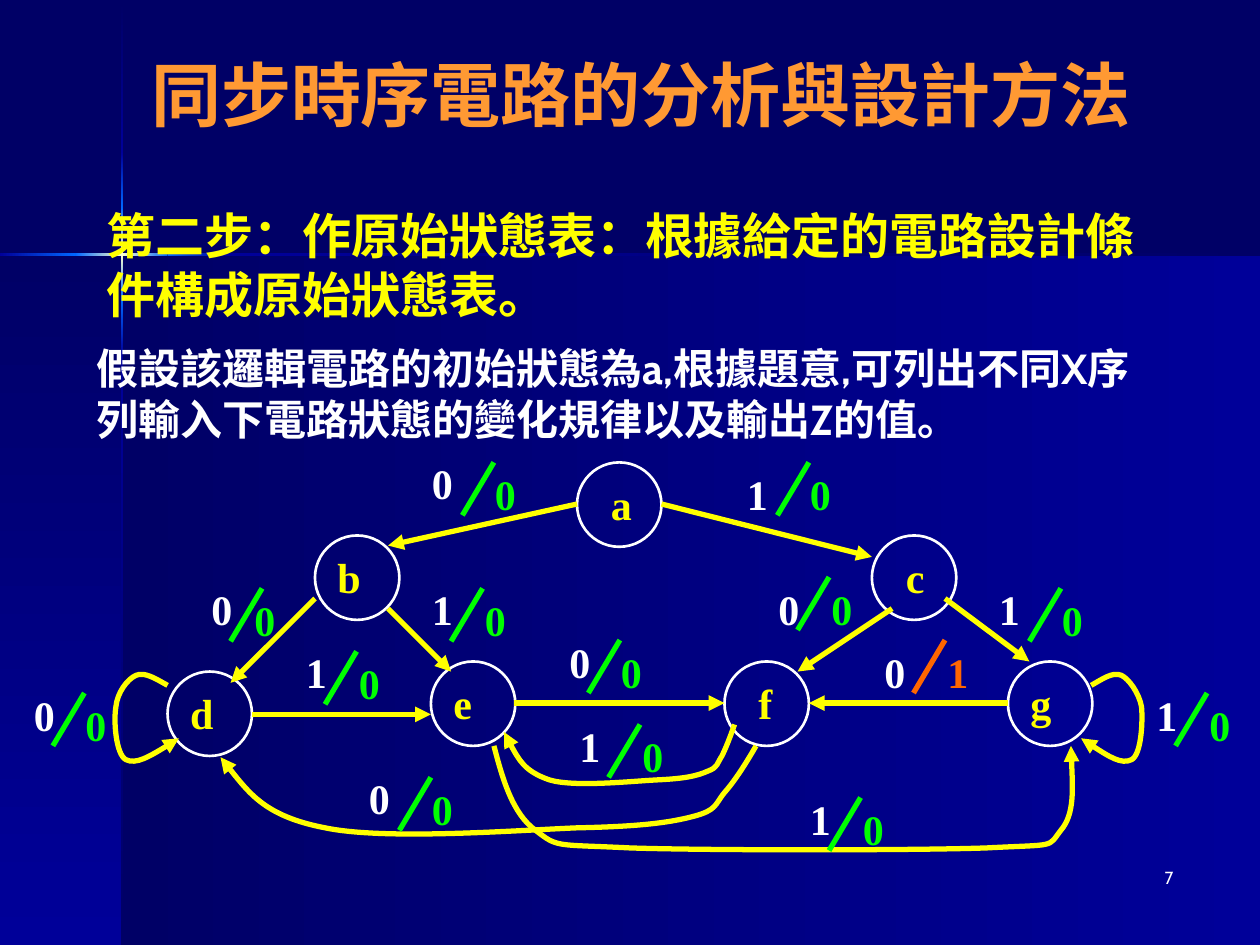
from itertools import pairwise

from lxml.etree import SubElement
from pptx import Presentation
from pptx.dml.color import RGBColor
from pptx.enum.shapes import MSO_CONNECTOR as CONNECTOR, MSO_SHAPE as SHAPE
from pptx.enum.text import MSO_ANCHOR as ANCHOR, PP_ALIGN as ALIGN
from pptx.oxml.ns import qn
from pptx.util import Inches, Pt

COLORS = {
    "navy": "000066", "blue": "000099", "bright": "0066FF", "cream": "FFFFCC",
    "orange": "FF9933", "yellow": "FFFF00", "white": "FFFFFF",
    "green": "00FF00", "red": "FF6600",
}
SANS, SERIF = "Cabin", "Times New Roman"
NODE_SIZE = 0.67

VERTICAL_GLOW = [(0.01, "navy"), (1.21, "blue"), (1.65, "bright"), (2.02, "cream"),
                 (2.38, "bright"), (2.82, "blue"), (7.5, "navy")]
HORIZONTAL_GLOW = [(0, "blue"), (0.6, "bright"), (0.97, "cream"),
                   (1.33, "bright"), (1.77, "blue"), (10, "navy")]

# state, left, top, label offset
STATES = [
    ("a", 4.58, 3.67, 0.17), ("b", 2.5, 4.25, 0.08), ("c", 6.92, 4.25, 0.17),
    ("d", 1.33, 5.33, 0.08), ("e", 3.42, 5.25, 0.08), ("f", 5.75, 5.25, 0.17),
    ("g", 8, 5.25, 0.08),
]
ARROWS = [
    ((4.58, 4), (3.08, 4.33)), ((5.25, 4), (6.92, 4.42)),
    ((2.5, 4.75), (1.83, 5.42)), ((3.08, 4.83), (3.58, 5.33)),
    ((7.08, 4.83), (6.33, 5.33)), ((7.5, 4.75), (8.17, 5.25)),
    ((2, 5.67), (3.42, 5.67)), ((4.08, 5.58), (5.75, 5.58)),
    ((8, 5.58), (6.42, 5.58)),
]
CURVES = [
    [(1.33, 5.44), (1.24, 5.39), (1.15, 5.33), (1.08, 5.36), (1.01, 5.39),
     (0.93, 5.5), (0.92, 5.61), (0.9, 5.72), (0.92, 5.99), (1, 6.03),
     (1.08, 6.07), (1.25, 5.97), (1.42, 5.86)],
    [(8.66, 5.44), (8.75, 5.39), (8.83, 5.33), (8.9, 5.36), (8.96, 5.39),
     (9.04, 5.5), (9.06, 5.61), (9.07, 5.72), (9.06, 5.99), (8.98, 6.03),
     (8.9, 6.07), (8.74, 5.97), (8.58, 5.86)],
    [(3.92, 5.92), (3.99, 6.19), (4.07, 6.46), (4.25, 6.59), (4.43, 6.73),
     (4.4, 6.7), (5, 6.73), (5.6, 6.75), (7.26, 6.75), (7.83, 6.73),
     (8.4, 6.7), (8.31, 6.73), (8.42, 6.59), (8.53, 6.46), (8.51, 6.19), (8.5, 5.92)],
    [(6, 5.92), (5.92, 6.06), (5.83, 6.2), (5.75, 6.29), (5.67, 6.39),
     (5.69, 6.43), (5.5, 6.48), (5.31, 6.53), (5.07, 6.56), (4.58, 6.57),
     (4.1, 6.59), (3.06, 6.67), (2.58, 6.57), (2.11, 6.48), (1.93, 6.24), (1.75, 6.01)],
    [(5.83, 5.75), (5.8, 5.84), (5.76, 5.94), (5.73, 6), (5.69, 6.06),
     (5.7, 6.09), (5.62, 6.12), (5.53, 6.16), (5.43, 6.18), (5.22, 6.19),
     (5.01, 6.2), (4.56, 6.25), (4.36, 6.19), (4.16, 6.12), (4.08, 5.97), (4, 5.81)],
]
# input, its left and top, output, its left and top, slash right
TRANSITIONS = [
    ("0", 3.33, 3.58, "0", 3.83, 3.67, 3.92), ("1", 5.83, 3.67, "0", 6.33, 3.67, 6.42),
    ("0", 1.58, 4.58, "0", 1.92, 4.67, 2.08), ("1", 3.33, 4.58, "0", 3.75, 4.67, 3.83),
    ("0", 6.08, 4.58, "0", 6.5, 4.58, 6.58), ("1", 7.83, 4.58, "0", 8.33, 4.67, 8.42),
    ("0", 0.17, 5.42, "0", 0.58, 5.5, 0.67), ("1", 2.33, 5.08, "0", 2.75, 5.17, 2.83),
    ("0", 4.42, 5, "0", 4.83, 5.08, 4.92), ("0", 6.92, 5.08, "1", 7.42, 5.08, 7.5),
    ("1", 9.08, 5.42, "0", 9.5, 5.5, 9.58), ("1", 4.5, 5.67, "0", 5, 5.75, 5.08),
    ("0", 2.83, 6.08, "0", 3.33, 6.17, 3.42), ("1", 6.33, 6.25, "0", 6.75, 6.33, 6.83),
]


def rgb(name):
    return RGBColor.from_string(COLORS[name])


def add_text(page, text, left, top, width, height, size, color, font=SANS,
             bold=True, align=ALIGN.LEFT, anchor=ANCHOR.TOP):
    box = page.shapes.add_textbox(Inches(left), Inches(top), Inches(width), Inches(height))
    frame = box.text_frame
    frame.word_wrap = True
    frame.vertical_anchor = anchor
    para = frame.paragraphs[0]
    para.text = text
    para.alignment = align
    para.font.name = font
    para.font.size = Pt(size)
    para.font.bold = bold
    para.font.color.rgb = rgb(color)


def add_symbol(page, text, left, top, color):
    add_text(page, text, left, top, 0.42, 0.5, 24, color, SERIF)


def add_gradient(page, left, top, right, bottom, colors, vertical=False):
    panel = page.shapes.add_shape(SHAPE.RECTANGLE, Inches(left), Inches(top),
                                  Inches(right - left), Inches(bottom - top))
    panel.shadow.inherit = False
    panel.line.fill.background()
    panel.fill.gradient()
    panel.fill.gradient_angle = 270 if vertical else 0
    for stop, color in zip(panel.fill.gradient_stops, colors):
        stop.color.rgb = rgb(color)


def add_background(page):
    page.background.fill.solid()
    page.background.fill.fore_color.rgb = rgb("navy")
    add_gradient(page, 0.97, 2.02, 10, 7.5, ("navy", "blue"))
    add_gradient(page, 0, 2.02, 0.97, 7.5, ("navy", "blue"), vertical=True)
    for (top, first), (bottom, last) in pairwise(VERTICAL_GLOW):
        add_gradient(page, 0.96, top, 0.98, bottom, (first, last), vertical=True)
    for (left, first), (right, last) in pairwise(HORIZONTAL_GLOW):
        add_gradient(page, left, 2.01, right, 2.03, (first, last))


def style_line(shape, color, arrow):
    shape.line.color.rgb = rgb(color)
    shape.line.width = Pt(3)
    if arrow:
        SubElement(shape.line._get_or_add_ln(), qn("a:tailEnd"), type="triangle")


def add_line(page, start, end, color, arrow=False):
    line = page.shapes.add_connector(CONNECTOR.STRAIGHT, *map(Inches, start + end))
    style_line(line, color, arrow)
    SubElement(line._element.spPr, qn("a:effectLst"))


def add_curve(page, points):
    start, *rest = [(Inches(x), Inches(y)) for x, y in points]
    builder = page.shapes.build_freeform(*start)
    builder.add_line_segments(rest, close=False)
    curve = builder.convert_to_shape()
    outline = next(curve._element.iter(qn("a:path")))
    segments = outline.findall(qn("a:lnTo"))
    for index in range(0, len(segments), 3):
        bezier = SubElement(outline, qn("a:cubicBezTo"))
        for segment in segments[index:index + 3]:
            bezier.append(segment[0])
            outline.remove(segment)
    curve.shadow.inherit = False
    curve.fill.background()
    style_line(curve, "yellow", arrow=True)


def add_state(page, name, left, top, offset):
    circle = page.shapes.add_shape(SHAPE.OVAL, Inches(left), Inches(top),
                                   Inches(NODE_SIZE), Inches(NODE_SIZE))
    circle.shadow.inherit = False
    circle.fill.background()
    circle.line.color.rgb = rgb("white")
    circle.line.width = Pt(1.5)
    add_symbol(page, name, left + offset, top + 0.08, "yellow")


def add_transition(page, given, left, top, output, output_left, output_top, slash):
    color = "red" if output == "1" else "green"
    add_symbol(page, given, left, top, "white")
    add_line(page, (slash, output_top), (slash - 0.25, output_top + 0.42), color)
    add_symbol(page, output, output_left, output_top, color)


def main():
    deck = Presentation()
    deck.slide_width, deck.slide_height = Inches(10), Inches(7.5)
    page = deck.slides.add_slide(deck.slide_layouts[6])
    add_background(page)
    add_text(page, "7", 7.33, 6.83, 2.08, 0.5, 10, "white", bold=False, align=ALIGN.RIGHT)
    add_text(page, "同步時序電路的分析與設計方法", 0.5, 0.33, 9.17, 0.83, 40, "orange",
             align=ALIGN.CENTER, anchor=ANCHOR.MIDDLE)
    add_text(page, "第二步：作原始狀態表：根據給定的電路設計條件構成原始狀態表。",
             0.75, 1.58, 8.67, 1.05, 28, "yellow")
    add_text(page, "假設該邏輯電路的初始狀態為a,根據題意,可列出不同X序列輸入下"
             "電路狀態的變化規律以及輸出Z的值。", 0.67, 2.67, 8.5, 0.91, 24, "white")
    for state in STATES:
        add_state(page, *state)
    for start, end in ARROWS:
        add_line(page, start, end, "yellow", arrow=True)
    for points in CURVES:
        add_curve(page, points)
    for transition in TRANSITIONS:
        add_transition(page, *transition)
    deck.save("out.pptx")


if __name__ == "__main__":
    main()
